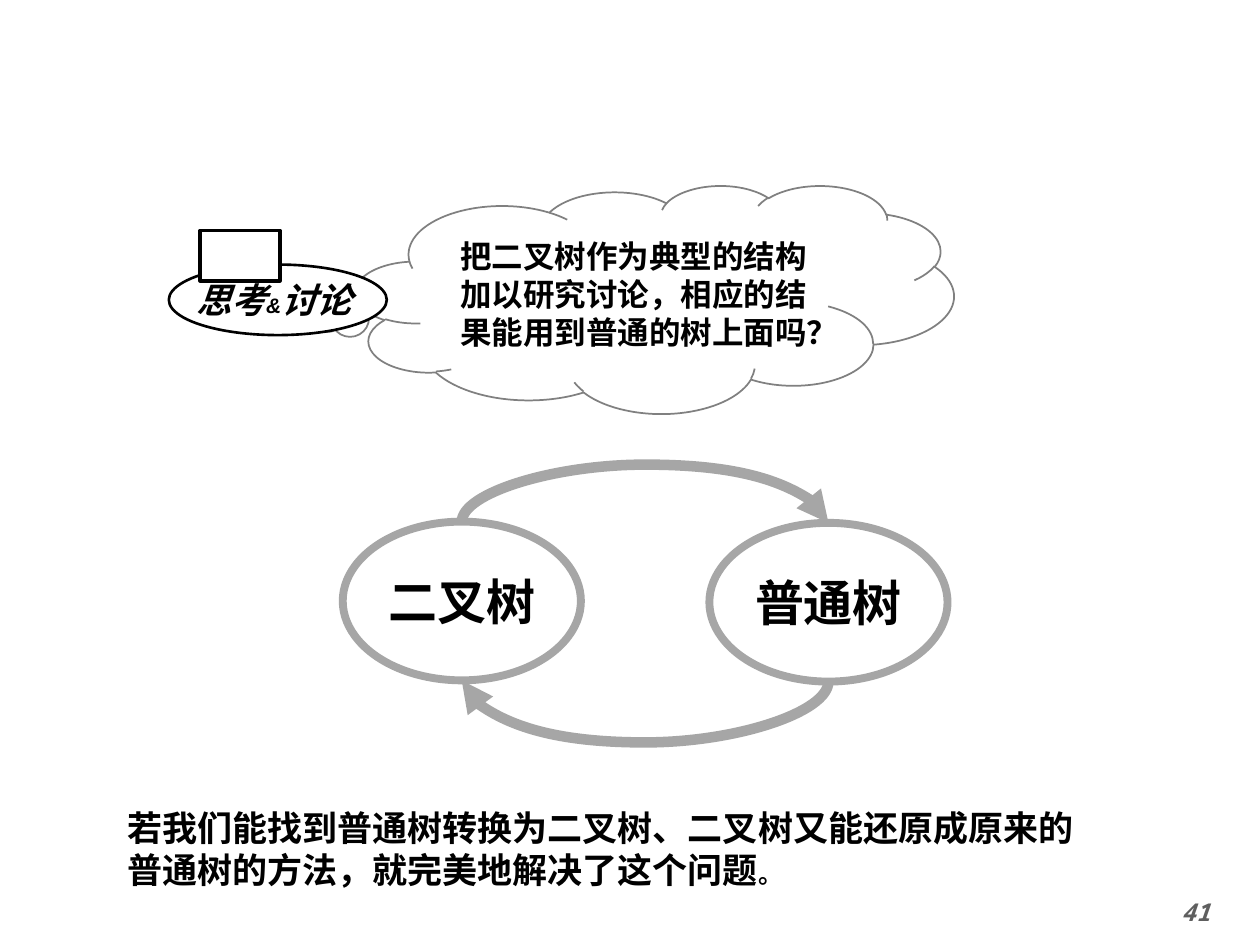
from lxml import etree
from pptx import Presentation
from pptx.dml.color import RGBColor
from pptx.enum.shapes import MSO_CONNECTOR, MSO_SHAPE
from pptx.enum.text import MSO_ANCHOR, PP_ALIGN
from pptx.oxml.ns import qn
from pptx.util import Inches, Pt

CURVE = MSO_CONNECTOR.CURVE
CLOUD = MSO_SHAPE.CLOUD_CALLOUT
OVAL = MSO_SHAPE.OVAL
RECTANGLE = MSO_SHAPE.RECTANGLE
CENTER = PP_ALIGN.CENTER
LEFT = PP_ALIGN.LEFT
MIDDLE = MSO_ANCHOR.MIDDLE

MONO = "Noto Sans Mono"
BLACK = "000000"
GRAY = "A6A6A6"
TOP_SITE, BOTTOM_SITE = 0, 4
OVAL_WIDTH, OVAL_HEIGHT = 1.89, 1.26
BINARY_LEFT, GENERAL_LEFT = 2.72, 5.63
OVAL_TOP = 4.14
OVAL_STEP = 0.01


def color(hex_value):
    """Turn a hex string into a colour."""
    return RGBColor.from_string(hex_value)


def style_font(font, size, name=MONO, hex_value=BLACK, italic=None):
    """Set a bold font."""
    font.name, font.size, font.bold, font.italic = name, Pt(size), True, italic
    font.color.rgb = color(hex_value)


def write(shape, runs, size, align=CENTER, wrap=True, **font_options):
    """Write one paragraph from (text, own size or None) runs."""
    frame = shape.text_frame
    frame.word_wrap = wrap
    paragraph = frame.paragraphs[0]
    paragraph.alignment = align
    style_font(paragraph.font, size, **font_options)
    for text, own_size in runs:
        run = paragraph.add_run()
        run.text = text
        if own_size:
            run.font.size = Pt(own_size)


def add_text(slide, box, runs, size, **options):
    """Add a text box."""
    textbox = slide.shapes.add_textbox(*map(Inches, box))
    write(textbox, runs, size, **options)


def add_outlined(slide, kind, box, line_hex, line_width):
    """Add a white preset shape with a coloured outline."""
    shape = slide.shapes.add_shape(kind, *map(Inches, box))
    shape.shadow.inherit = False
    shape.fill.solid()
    shape.fill.fore_color.rgb = color("FFFFFF")
    shape.line.color.rgb = color(line_hex)
    shape.line.width = Pt(line_width)
    shape.text_frame.vertical_anchor = MIDDLE
    return shape


def add_tree(slide, left, top, label):
    """Add an oval that names a kind of tree."""
    box = (left, top, OVAL_WIDTH, OVAL_HEIGHT)
    oval = add_outlined(slide, OVAL, box, GRAY, 4.5)
    write(oval, [(label, None)], 28, wrap=False)
    return oval


def add_arc_arrow(slide, start, end, site, middle_y, rotation, bulge):
    """Join two ovals by a curved arrow that bows away from them."""
    connector = slide.shapes.add_connector(CURVE, 0, 0, 0, 0)
    connector.begin_connect(start, TOP_SITE)
    connector.end_connect(end, TOP_SITE)
    for tag in ("a:stCxn", "a:endCxn"):
        next(connector._element.iter(qn(tag))).set("idx", str(site))
    span = GENERAL_LEFT - BINARY_LEFT
    center_x = (BINARY_LEFT + GENERAL_LEFT + OVAL_WIDTH) / 2
    connector.left = Inches(center_x - OVAL_STEP / 2)
    connector.top = Inches(middle_y - span / 2)
    connector.width, connector.height = Inches(OVAL_STEP), Inches(span)
    connector.line.color.rgb = color(GRAY)
    connector.line.width = Pt(6)
    properties = connector._element.spPr
    transform = properties.find(qn("a:xfrm"))
    transform.attrib.pop("flipV", None)
    transform.set("flipH", "1")
    transform.set("rot", str(rotation * 60000))
    adjustments = properties.find(qn("a:prstGeom")).find(qn("a:avLst"))
    share = round(-bulge / OVAL_STEP * 100000)
    etree.SubElement(adjustments, qn("a:gd"), name="adj1", fmla=f"val {share}")
    line = properties.find(qn("a:ln"))
    etree.SubElement(line, qn("a:tailEnd"), type="triangle")
    etree.SubElement(properties, qn("a:effectLst"))


def add_badge(slide):
    """Add the discussion badge with a plain block on top."""
    oval = add_outlined(slide, OVAL, (1.34, 2.1, 1.73, 0.56), BLACK, 1.5)
    runs = [("思考", None), ("&", 12), ("讨论 ", None)]
    write(oval, runs, 20, wrap=False, name="Arial", italic=True)
    add_outlined(slide, RECTANGLE, (1.59, 1.83, 0.63, 0.4), BLACK, 2.25)


def main():
    """Build and save the slide."""
    presentation = Presentation()
    presentation.slide_width, presentation.slide_height = Inches(10), Inches(7.5)
    slide = presentation.slides.add_slide(presentation.slide_layouts[6])

    add_text(slide, (8.98, 7.07, 1.02, 0.43), [("41", None)], 14,
             hex_value="5F5F5F", italic=True)
    conclusion = "若我们能找到普通树转换为二叉树、二叉树又能还原成原来的普通树的方法，就完美地解决了这个问题"
    add_text(slide, (0.91, 6.35, 7.72, 0.77),
             [(conclusion, None), ("。", 14)], 20, align=LEFT)

    cloud = add_outlined(slide, CLOUD, (2.82, 1.47, 4.75, 1.81), "808080", 1)
    cloud.adjustments[0], cloud.adjustments[1] = -0.56, 0.09
    question = "把二叉树作为典型的结构加以研究讨论，相应的结果能用到普通的树上面吗？"
    write(cloud, [(question, None)], 18)

    binary = add_tree(slide, BINARY_LEFT, OVAL_TOP, "二叉树")
    general = add_tree(slide, GENERAL_LEFT, OVAL_TOP + OVAL_STEP, "普通树")
    middle_y = OVAL_TOP + OVAL_STEP / 2
    add_arc_arrow(slide, binary, general, TOP_SITE, middle_y, 270, 0.46)
    add_arc_arrow(slide, general, binary, BOTTOM_SITE,
                  middle_y + OVAL_HEIGHT, 90, 0.49)
    add_badge(slide)
    presentation.save("out.pptx")


if __name__ == "__main__":
    main()
